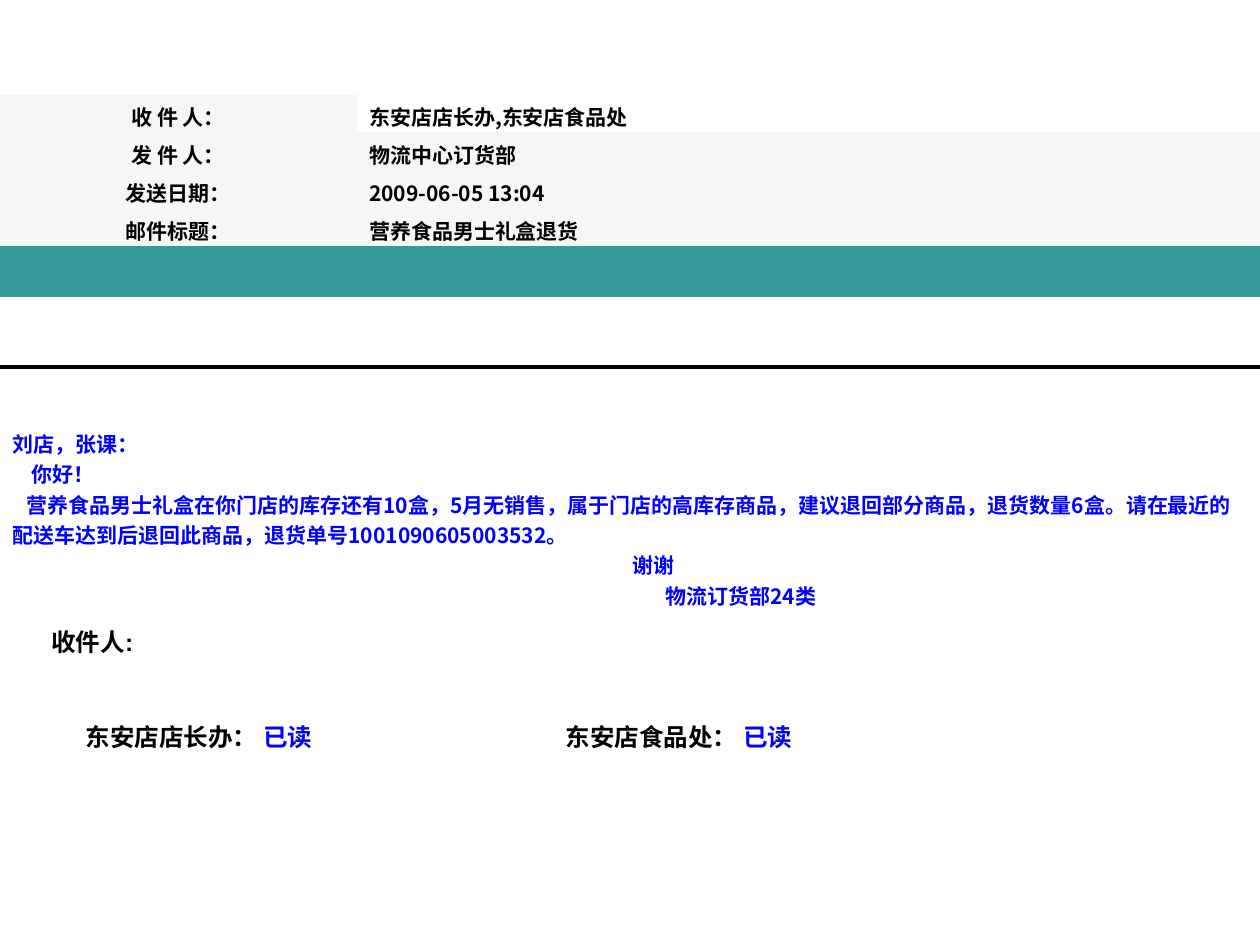
from lxml.etree import SubElement
from pptx import Presentation
from pptx.dml.color import RGBColor
from pptx.enum.shapes import MSO_SHAPE
from pptx.enum.text import MSO_ANCHOR, PP_ALIGN
from pptx.oxml.ns import qn
from pptx.util import Inches, Pt

BLACK = RGBColor(0x00, 0x00, 0x00)
BLUE = RGBColor(0x00, 0x00, 0xFF)
TEAL = RGBColor(0x33, 0x99, 0x99)
PALE = RGBColor(0xF5, 0xF7, 0xF4)
LATIN = "Arial"
CHINESE = "Noto Sans CJK SC"
NO_STYLE = "{2D5ABB26-0587-4C30-8999-92F81FD0307C}"


def add_span(para, text, size, color=BLACK, font=LATIN):
    span = para.add_run()
    span.text = text
    span.font.size = Pt(size)
    span.font.bold = True
    span.font.color.rgb = color
    span.font.name = font
    SubElement(span.font._element, qn("a:ea"), typeface=CHINESE)


def add_plain_table(left, top, widths, heights):
    frame = page.shapes.add_table(
        len(heights), len(widths), Inches(left), Inches(top),
        Inches(sum(widths)), Inches(sum(heights)))
    table = frame.table
    table.first_row = False
    table.horz_banding = False
    table._tbl.tblPr.find(qn("a:tableStyleId")).text = NO_STYLE
    for column, width in zip(table.columns, widths):
        column.width = Inches(width)
    for row, height in zip(table.rows, heights):
        row.height = Inches(height)
    for cell in table.iter_cells():
        cell.fill.background()
    return table


deck = Presentation()
deck.slide_width = Inches(10)
deck.slide_height = Inches(7.5)
page = deck.slides.add_slide(deck.slide_layouts[6])

# Mail header
mail = add_plain_table(0, 0.75, [2.83, 7.17], [0.3] * 4 + [0.4, 2.58])
headers = [
    ("收 件 人：", "东安店店长办,东安店食品处"),
    ("发 件 人：", "物流中心订货部"),
    ("发送日期：", "2009-06-05 13:04"),
    ("邮件标题：", "营养食品男士礼盒退货"),
]
for row, texts in enumerate(headers):
    for column, text in enumerate(texts):
        cell = mail.cell(row, column)
        cell.vertical_anchor = MSO_ANCHOR.MIDDLE
        cell.margin_bottom = 0
        if (row, column) != (0, 1):
            cell.fill.solid()
            cell.fill.fore_color.rgb = PALE
        para = cell.text_frame.paragraphs[0]
        para.alignment = PP_ALIGN.LEFT if column else PP_ALIGN.CENTER
        add_span(para, text, 12, font=CHINESE if column else LATIN)

# Teal band
band = mail.cell(4, 0)
band.merge(mail.cell(4, 1))
band.fill.solid()
band.fill.fore_color.rgb = TEAL

# Mail body: text and first-line indent
body = mail.cell(5, 0)
body.merge(mail.cell(5, 1))
body.margin_top = Inches(1.04)
lines = [
    ("刘店，张课：", 0),
    ("你好！", 0.15),
    ("营养食品男士礼盒在你门店的库存还有10盒，5月无销售，属于门店的高库存商品，"
     "建议退回部分商品，退货数量6盒。请在最近的配送车达到后退回此商品，"
     "退货单号1001090605003532。", 0.11),
    ("谢谢", 4.92),
    ("物流订货部24类", 5.18),
]
for number, (text, indent) in enumerate(lines):
    frame = body.text_frame
    para = frame.add_paragraph() if number else frame.paragraphs[0]
    properties = para._p.get_or_add_pPr()
    properties.set("marL", "0")
    properties.set("indent", str(Inches(indent)))
    add_span(para, text, 12, BLUE, CHINESE)

# Recipient caption
box = page.shapes.add_textbox(Inches(0.31), Inches(4.92), Inches(0.95), Inches(0.34))
box.text_frame.word_wrap = False
box.text_frame.vertical_anchor = MSO_ANCHOR.MIDDLE
add_span(box.text_frame.paragraphs[0], "收件人:", 14)

# Divider
divider = page.shapes.add_shape(
    MSO_SHAPE.RECTANGLE, 0, Inches(2.9), Inches(10), Inches(0.02))
divider.shadow.inherit = False
divider.fill.solid()
divider.fill.fore_color.rgb = BLACK
divider.line.color.rgb = BLACK
divider.line.width = Pt(0.74)

# Read receipts
receipts = add_plain_table(0.58, 5.08, [3.81, 3.81, 0.55], [0.57, 0.34])
receipts.cell(0, 0).merge(receipts.cell(0, 2))
for column, reader in enumerate(["东安店店长办： ", "东安店食品处： "]):
    para = receipts.cell(1, column).text_frame.paragraphs[0]
    add_span(para, reader, 14)
    add_span(para, "已读", 14, BLUE)

deck.save("out.pptx")
